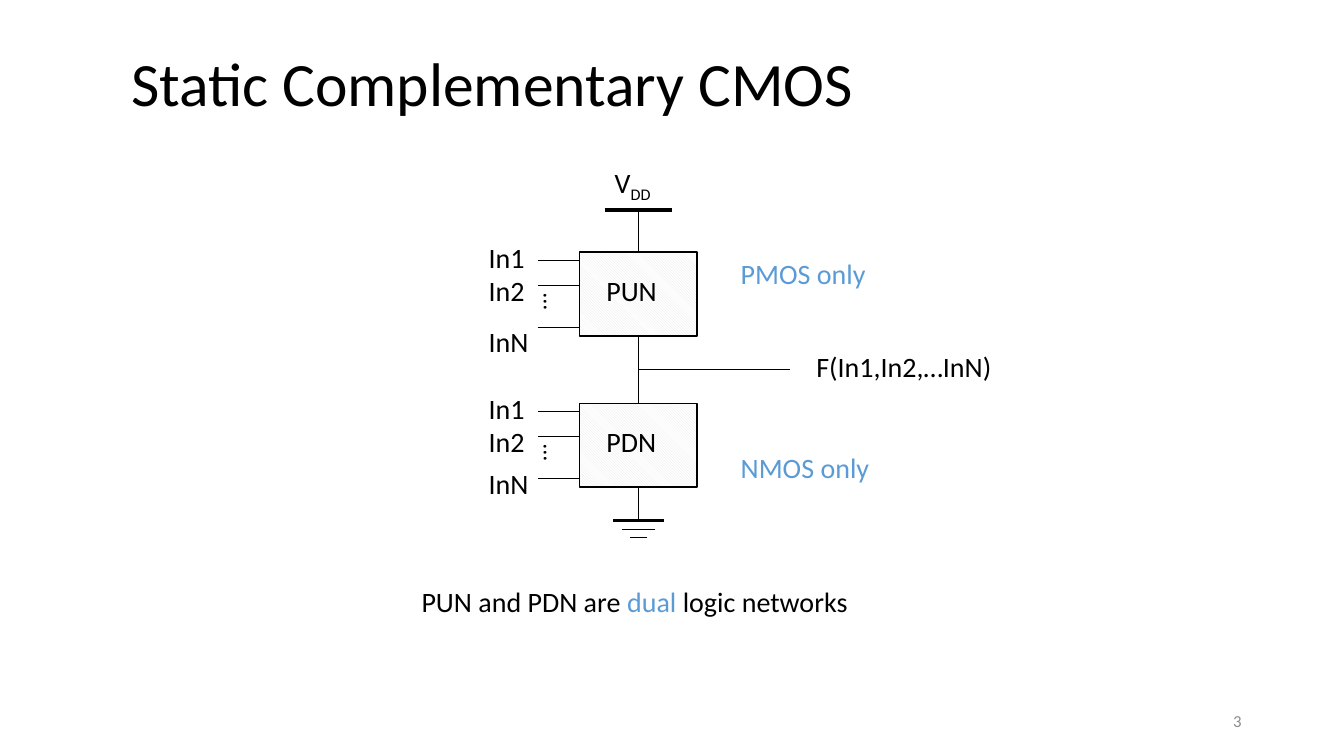
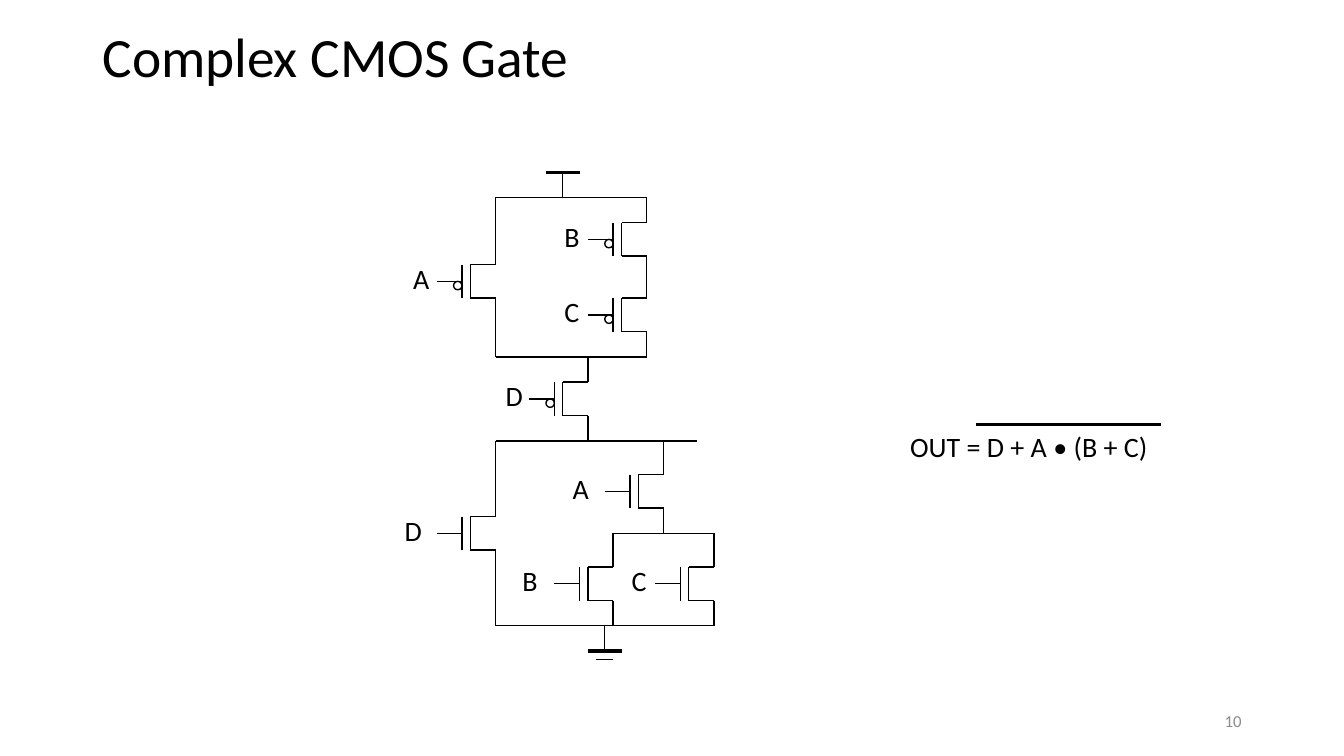
from itertools import pairwise

from lxml.etree import SubElement
from pptx import Presentation
from pptx.dml.color import RGBColor
from pptx.enum.dml import MSO_PATTERN
from pptx.enum.shapes import MSO_CONNECTOR, MSO_SHAPE
from pptx.enum.text import MSO_ANCHOR, MSO_AUTO_SIZE, PP_ALIGN
from pptx.oxml.ns import qn
from pptx.util import Pt

BLACK, ACCENT, GREY, HATCH, WHITE = "000000", "5B9BD5", "8C8C8C", "E7E6E6", "FFFFFF"
FONT = "Calibri"
THIN, THICK = 1, 2.25
STEP = 6  # drawing grid of the circuits


def paint(color_format, hex_color):
    color_format.rgb = RGBColor.from_string(hex_color)


class CircuitDeck:
    """Holds the style and the current slide; lengths are in points."""

    def __init__(self):
        self.prs = Presentation()
        self.prs.slide_width, self.prs.slide_height = Pt(960), Pt(540)

    def start_slide(self, title, number, bounds, size):
        self.slide = self.prs.slides.add_slide(self.prs.slide_layouts[5])
        heading = self.slide.shapes.title
        heading.left, heading.top, heading.width, heading.height = map(Pt, bounds)
        frame = heading.text_frame
        frame.text = title
        frame.auto_size = MSO_AUTO_SIZE.NONE
        frame.vertical_anchor = MSO_ANCHOR.MIDDLE
        frame.paragraphs[0].alignment = PP_ALIGN.LEFT
        frame.paragraphs[0].line_spacing = 0.9
        self.style(frame.paragraphs[0], size, BLACK)

        page = self.label(number, 678, 500.5, 216, 28.75, size=12, color=GREY)
        page.text_frame.auto_size = MSO_AUTO_SIZE.NONE
        page.text_frame.word_wrap = True
        page.text_frame.vertical_anchor = MSO_ANCHOR.MIDDLE
        page.text_frame.paragraphs[0].alignment = PP_ALIGN.RIGHT

    def style(self, paragraph, size, color, font=FONT):
        paragraph.font.name, paragraph.font.size = font, Pt(size)
        paint(paragraph.font.color, color)

    def label(self, text, x, y, width, height=31.5, size=20, color=BLACK, font=FONT):
        box = self.slide.shapes.add_textbox(Pt(x), Pt(y), Pt(width), Pt(height))
        frame = box.text_frame
        frame.word_wrap = False
        frame.auto_size = MSO_AUTO_SIZE.SHAPE_TO_FIT_TEXT
        frame.text = text
        self.style(frame.paragraphs[0], size, color, font)
        return box

    def add_run(self, box, text):
        run = box.text_frame.paragraphs[0].add_run()
        run.text = text
        return run

    def wire(self, *points, width=THIN):
        """Joins the points with straight lines."""
        for start, end in pairwise(points):
            line = self.slide.shapes.add_connector(
                MSO_CONNECTOR.STRAIGHT, *map(Pt, start + end))
            line.line.width = Pt(width)
            paint(line.line.color, BLACK)
            SubElement(line._element.spPr, qn("a:effectLst"))

    def outline(self, kind, x, y, width, height):
        shape = self.slide.shapes.add_shape(kind, Pt(x), Pt(y), Pt(width), Pt(height))
        shape.shadow.inherit = False
        shape.fill.background()
        shape.line.width = Pt(THIN)
        paint(shape.line.color, BLACK)
        return shape

    def supply(self, x, top, bottom, half):
        self.wire((x - half, top), (x + half, top), width=THICK)
        self.wire((x, top), (x, bottom))

    def ground(self, x, top, bottom, bars):
        self.wire((x, top), (x, bottom))
        for i in range(bars):
            half, y = STEP * (bars - i), bottom + STEP * i
            self.wire((x - half, y), (x + half, y), width=THIN if i else THICK)

    def network(self, name, x, y, last_label):
        """Draws a logic block with its inputs In1 to InN."""
        block = self.outline(MSO_SHAPE.RECTANGLE, x, y, 84, 60)
        block.fill.patterned()
        block.fill.pattern = MSO_PATTERN.LIGHT_DOWNWARD_DIAGONAL
        paint(block.fill.fore_color, HATCH)
        paint(block.fill.back_color, WHITE)
        self.label(name, x + 12, y + 12, 51)
        inputs = ("In1", 6, -12, 40.5), ("In2", 24, 12, 40.5), ("InN", 54, last_label, 43)
        for text, pin, label_top, width in inputs:
            self.wire((x - 30, y + pin), (x, y + pin))
            self.label(text, x - 72, y + label_top, width)
        dots = self.label("…", x - 34.6, y + 23, 32.4, 28.8, size=18, font="Cambria")
        dots.rotation = 89

    def transistor(self, name, x, y, top, bottom, label_gap, pmos=False):
        """Draws a channel at y whose leads at x reach from top to bottom."""
        self.wire((x, top), (x, y), (x - 18, y), (x - 18, y + 24),
                  (x, y + 24), (x, bottom))
        self.wire((x - 24, y), (x - 24, y + 24))
        self.wire((x - 42, y + 12), (x - 24, y + 12))
        if pmos:
            self.outline(MSO_SHAPE.OVAL, x - 30, y + 12, STEP, STEP)
        self.label(name, x - label_gap, y - 6, 26)


def static_cmos(deck):
    deck.start_slide("Static Complementary CMOS", "3", (86.4, 4.3, 792, 114.5), 44)
    center = 456
    deck.supply(center, 150, 180, 24)
    deck.wire((center, 240), (center, 288))
    deck.wire((center, 264), (564, 264))
    deck.ground(center, 348, 372, 3)
    deck.network("PUN", 414, 180, 48)
    deck.network("PDN", 414, 288, 42)

    supply_name = deck.label("V", 432, 114.5, 42.5)
    subscript = deck.add_run(supply_name, "DD")
    subscript._r.get_or_add_rPr().set("baseline", "-25000")
    deck.label("F(In1,In2,…InN)", 576, 246, 140.5)
    deck.label("PMOS only", 522, 180, 104.5, color=ACCENT)
    deck.label("NMOS only", 522, 318, 107, color=ACCENT)
    duality = deck.label("PUN and PDN are ", 294, 414, 322)
    paint(deck.add_run(duality, "dual").font.color, ACCENT)
    deck.add_run(duality, " logic networks")


def complex_gate(deck):
    deck.start_slide("Complex CMOS Gate", "10", (66, 16.5, 828, 52.5), 39.6)
    deck.supply(402, 123, 141, 12)
    deck.ground(432, 447, 465, 2)
    rails = ((354, 462, 141), (354, 462, 255), (354, 498, 315),
             (438, 510, 381), (354, 510, 447))
    for left, right, y in rails:
        deck.wire((left, y), (right, y))

    pull_up = (("A", 354, 189, 141, 255), ("B", 462, 159, 141, 198),
               ("C", 462, 213, 198, 255), ("D", 420, 273, 255, 315))
    for device in pull_up:
        deck.transistor(*device, label_gap=66, pmos=True)
    pull_down = (("D", 354, 369, 315, 447, 72), ("A", 474, 339, 315, 381, 72),
                 ("B", 438, 405, 381, 447, 72), ("C", 510, 405, 381, 447, 66))
    for device in pull_down:
        deck.transistor(*device)

    deck.label("OUT = D + A • (B + C)", 643, 303, 186)
    deck.wire((697, 303), (829, 303), width=THICK)


def main():
    deck = CircuitDeck()
    static_cmos(deck)
    complex_gate(deck)
    deck.prs.save("out.pptx")


if __name__ == "__main__":
    main()
